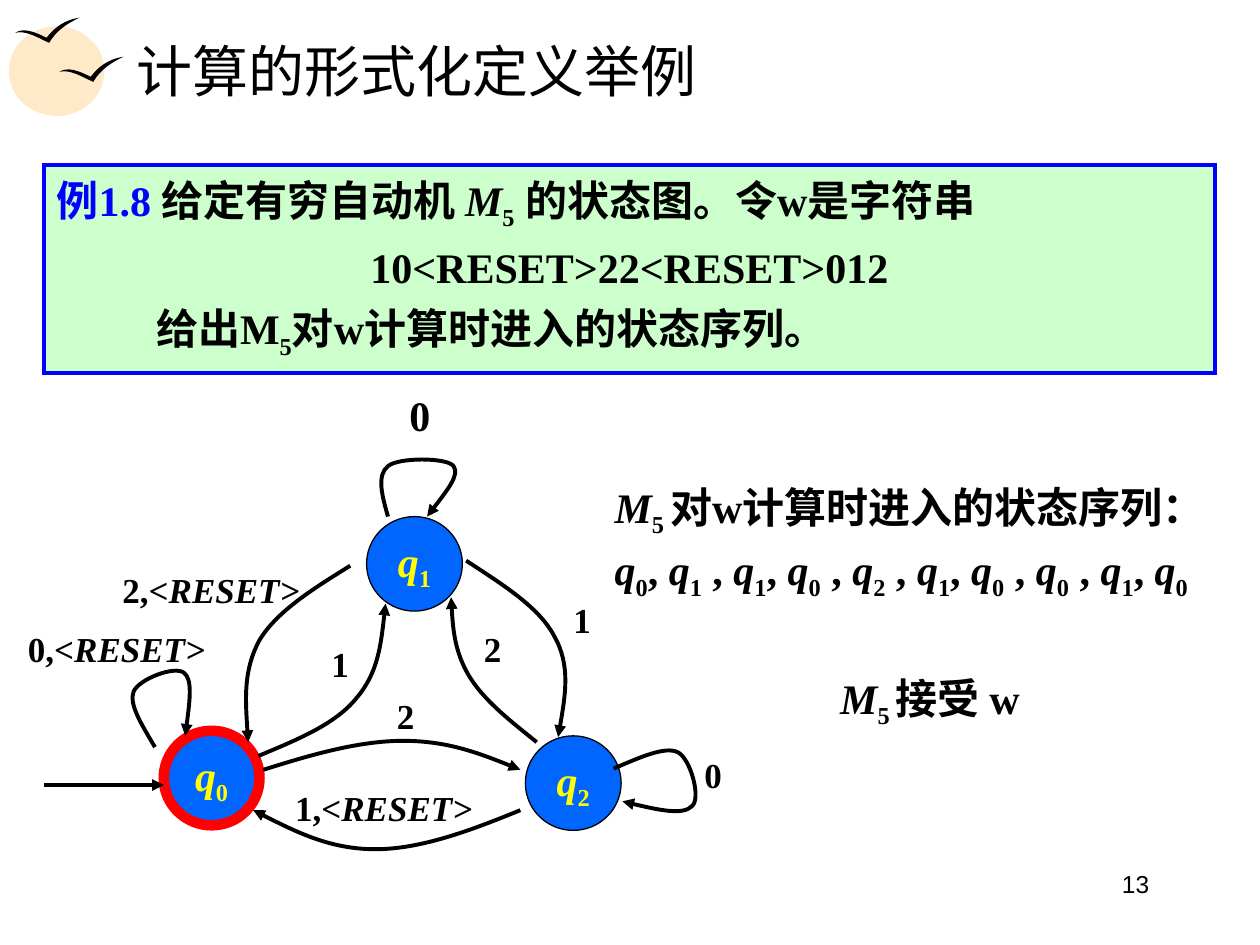
from lxml import etree
from pptx import Presentation
from pptx.dml.color import RGBColor
from pptx.enum.shapes import MSO_CONNECTOR, MSO_SHAPE
from pptx.enum.text import MSO_ANCHOR, PP_ALIGN
from pptx.oxml.ns import qn
from pptx.util import Inches, Pt

LEFT, CENTER, RIGHT = PP_ALIGN.LEFT, PP_ALIGN.CENTER, PP_ALIGN.RIGHT
TOP, MIDDLE = MSO_ANCHOR.TOP, MSO_ANCHOR.MIDDLE
OVAL, RECTANGLE = MSO_SHAPE.OVAL, MSO_SHAPE.RECTANGLE
STRAIGHT = MSO_CONNECTOR.STRAIGHT
SERIF = "Times New Roman"
BLACK, BLUE, YELLOW, RED = "000000", "0000FF", "FFFF00", "FF0000"
STATE_BLUE, SUN, MINT = "0066FF", "FEE9C8", "CCFFCC"

BIRD = [(0.47, 0.57), (0.54, 0.53), (0.62, 0.56), (0.72, 0.61),
        (0.78, 0.53), (0.86, 0.47), (0.98, 0.45),
        (0.88, 0.5), (0.8, 0.55), (0.74, 0.65),
        (0.65, 0.61), (0.56, 0.55), (0.47, 0.57)]

TRANSITIONS = [
    [(2.09, 6.11), (2.47, 5.99), (2.85, 5.88), (3.2, 5.88),
     (3.54, 5.88), (3.84, 5.99), (4.13, 6.11)],
    [(1.23, 5.93), (1.13, 5.76), (1.02, 5.59), (1.06, 5.49),
     (1.1, 5.39), (1.39, 5.28), (1.46, 5.34),
     (1.53, 5.39), (1.5, 5.62), (1.47, 5.84)],
    [(4.13, 6.43), (3.74, 6.59), (3.34, 6.74), (2.98, 6.74),
     (2.63, 6.74), (2.32, 6.59), (2.01, 6.43)],
    [(4.26, 5.89), (4.05, 5.72), (3.84, 5.56), (3.72, 5.36),
     (3.61, 5.17), (3.59, 4.95), (3.58, 4.74)],
    [(3.7, 4.45), (3.99, 4.64), (4.28, 4.82), (4.4, 5.05),
     (4.53, 5.28), (4.48, 5.57), (4.43, 5.85)],
    [(4.87, 6.1), (5.08, 6.01), (5.28, 5.92), (5.38, 5.97),
     (5.48, 6.02), (5.57, 6.34), (5.49, 6.4),
     (5.42, 6.47), (5.18, 6.42), (4.94, 6.36)],
    [(3.08, 4.1), (3.03, 3.93), (2.99, 3.77), (3.08, 3.7),
     (3.16, 3.63), (3.55, 3.63), (3.6, 3.7),
     (3.65, 3.77), (3.52, 3.93), (3.39, 4.1)],
    [(2.05, 6), (2.36, 5.87), (2.66, 5.75), (2.83, 5.54),
     (3, 5.34), (3.03, 5.07), (3.06, 4.79)],
    [(2.78, 4.49), (2.49, 4.67), (2.2, 4.85), (2.06, 5.08),
     (1.93, 5.32), (1.95, 5.6), (1.97, 5.89)],
]

DIGIT_LABELS = [("2", 3.05, 5.46, 20), ("0", 5.49, 5.93, 20),
                ("0", 3.15, 3.04, 24), ("2", 3.74, 4.93, 20),
                ("1", 4.45, 4.7, 20), ("1", 2.53, 5.05, 20)]
RESET_LABELS = [("0", 0.12, 4.93), ("1", 2.24, 6.19), ("2", 0.87, 4.46)]
STATES = [("0", 1.3, 5.8, RED, 6), ("2", 4.17, 5.84, BLACK, 0.75),
          ("1", 2.91, 4.1, BLACK, 0.75)]
VISITS = [("0", ", "), ("1", " , "), ("1", ", "), ("0", " , "), ("2", " , "),
          ("1", ", "), ("0", " , "), ("0", " , "), ("1", ", "), ("0", "")]


def color(value):
    return RGBColor.from_string(value)


def add_run(paragraph, text, style="", size=24, fill=BLACK, bold=True, font=SERIF):
    run = paragraph.add_run()
    run.text = text
    run.font.name = font
    run.font.size = Pt(size)
    run.font.bold = bold
    run.font.italic = "i" in style
    run.font.color.rgb = color(fill)
    if "s" in style:
        run._r.get_or_add_rPr().set("baseline", "-25000")


def write(frame, paragraphs, align=LEFT, hanging=0, line=None, before=0, **look):
    for index, runs in enumerate(paragraphs):
        paragraph = frame.add_paragraph() if index else frame.paragraphs[0]
        paragraph.alignment = align
        if hanging:
            properties = paragraph._p.get_or_add_pPr()
            properties.set("marL", str(Inches(hanging)))
            properties.set("indent", str(-Inches(hanging)))
            properties.set("hangingPunct", "0")
        if line:
            paragraph.line_spacing = line
        if index:
            paragraph.space_before = Pt(before)
        for text, style in runs:
            add_run(paragraph, text, style, **look)


def add_text(slide, box, paragraphs, wrap=True, **look):
    shape = slide.shapes.add_textbox(*map(Inches, box))
    shape.text_frame.word_wrap = wrap
    write(shape.text_frame, paragraphs, **look)


def add_filled(slide, kind, box, fill, line=None, width=0):
    shape = slide.shapes.add_shape(kind, *map(Inches, box))
    shape.shadow.inherit = False
    shape.fill.solid()
    shape.fill.fore_color.rgb = color(fill)
    if line:
        shape.line.color.rgb = color(line)
        shape.line.width = Pt(width)
        etree.SubElement(shape.line._get_or_add_ln(), qn("a:miter"), lim="800000")
    else:
        shape.line.fill.background()
    return shape


def add_curve(slide, points, closed=False):
    corners = [(Inches(x), Inches(y)) for x, y in points]
    builder = slide.shapes.build_freeform(*corners[0])
    builder.add_line_segments(corners[1:], close=closed)
    shape = builder.convert_to_shape()
    shape.shadow.inherit = False
    segments = list(shape._element.iter(qn("a:lnTo")))
    for start in range(0, len(segments), 3):
        curve = etree.Element(qn("a:cubicBezTo"))
        segments[start].addprevious(curve)
        for segment in segments[start:start + 3]:
            curve.append(segment[0])
            segment.getparent().remove(segment)
    return shape


def style_arrow(shape):
    shape.line.color.rgb = color(BLACK)
    shape.line.width = Pt(2.25)
    etree.SubElement(shape.line._get_or_add_ln(), qn("a:tailEnd"), type="triangle")


def add_emblem(slide):
    add_filled(slide, OVAL, (0.07, 0.21, 0.76, 0.71), SUN)
    for left, up in ((0, 0), (0.35, 0.31)):
        bird = add_curve(slide, [(x - left, y - up) for x, y in BIRD], closed=True)
        bird.fill.solid()
        bird.fill.fore_color.rgb = color(BLACK)
        bird.line.fill.background()


def add_title(slide):
    title = slide.shapes.title
    title.left, title.top, title.width, title.height = map(Inches, (0.98, 0.21, 8.53, 0.69))
    title.text_frame.vertical_anchor = MIDDLE
    write(title.text_frame, [[("计算的形式化定义举例", "")]], size=32, bold=False)


def add_problem(slide):
    frame = add_filled(slide, RECTANGLE, (0.35, 1.31, 9.29, 1.65), MINT, BLUE, 2.25).text_frame
    frame.word_wrap = True
    frame.vertical_anchor = TOP
    add_run(frame.paragraphs[0], "例1.8 ", fill=BLUE)
    write(frame, [
        [("给定有穷自动机 ", ""), ("M", "i"), ("5", "s"), (" 的状态图。令w是字符串", "")],
        [("10<RESET>22<RESET>012", "")],
        [("\t给出M", ""), ("5", "s"), ("对w计算时进入的状态序列。", "")],
    ], hanging=0.79, line=1.05, before=4.5)
    frame.paragraphs[1].alignment = CENTER


def add_state(slide, number, left, top, line, width):
    frame = add_filled(slide, OVAL, (left, top, 0.76, 0.75), STATE_BLUE, line, width).text_frame
    frame.word_wrap = False
    frame.vertical_anchor = MIDDLE
    write(frame, [[("q", "i"), (number, "s")]], align=CENTER, fill=YELLOW)


def add_diagram(slide):
    for state in STATES:
        add_state(slide, *state)
    for points in TRANSITIONS:
        arrow = add_curve(slide, points)
        arrow.fill.background()
        style_arrow(arrow)
    entry = slide.shapes.add_connector(
        STRAIGHT, Inches(0.35), Inches(6.23), Inches(1.3), Inches(6.23))
    style_arrow(entry)
    etree.SubElement(entry._element.spPr, qn("a:effectLst"))
    for digit, left, top, size in DIGIT_LABELS:
        add_text(slide, (left, top, 0.34, 0.44), [[(digit, "")]],
                 wrap=False, align=CENTER, size=size)
    for digit, left, top in RESET_LABELS:
        add_text(slide, (left, top, 1.61, 0.44), [[(digit + ",<", ""), ("RESET>", "i")]],
                 wrap=False, align=CENTER, size=20)


def add_answer(slide):
    sequence = []
    for number, separator in VISITS:
        sequence += [("q", "i"), (number, "s")]
        if separator:
            sequence.append((separator, ""))
    machine = [("M", "i"), ("5 ", "s")]
    add_text(slide, (4.78, 3.77, 5.03, 1.07),
             [machine + [("对w计算时进入的状态序列：", "")], sequence],
             hanging=0.38, line=1.0, before=3)
    add_text(slide, (6.57, 5.24, 2.03, 0.61), [machine + [("接受 w", "")]],
             hanging=0.38, line=1.1)


def main():
    presentation = Presentation()
    presentation.slide_width, presentation.slide_height = Inches(10), Inches(7.5)
    slide = presentation.slides.add_slide(presentation.slide_layouts[5])
    add_emblem(slide)
    add_text(slide, (6.89, 6.85, 2.33, 0.52), [[("13", "")]],
             align=RIGHT, size=14, bold=False, font="Arial")
    add_title(slide)
    add_problem(slide)
    add_diagram(slide)
    add_answer(slide)
    presentation.save("out.pptx")


if __name__ == "__main__":
    main()
